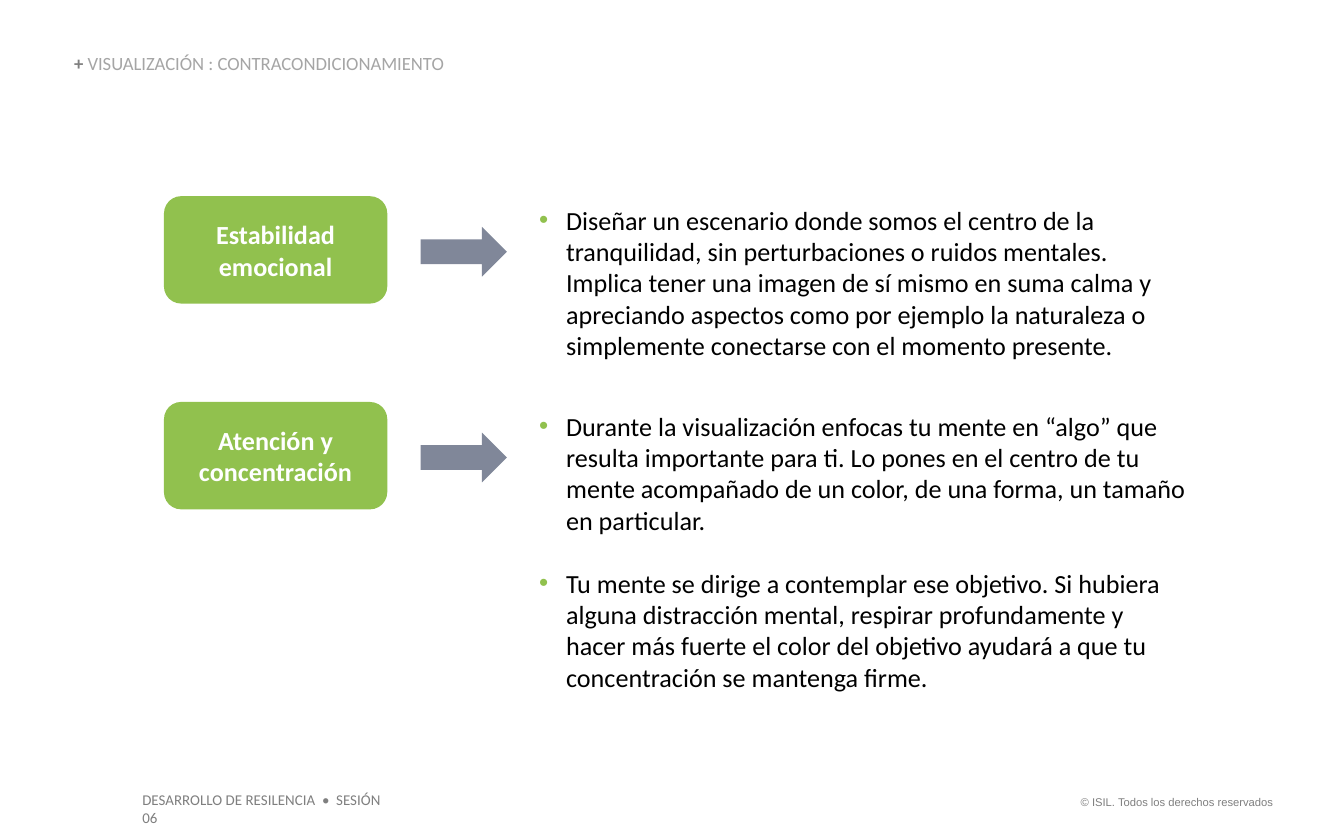
"""Build the slide on visualization and counterconditioning."""
from lxml import etree
from pptx import Presentation
from pptx import util as u
from pptx.dml.color import RGBColor
from pptx.enum import shapes, text
from pptx.oxml import ns

COLORS = {"green": "91C14E", "slate": "808799", "gray": "7F7F7F",
          "light": "A5A5A5", "black": "000000", "white": "FFFFFF"}


def write(p, txt, size=14, color="black", bold=False, font="Calibri",
          align=text.PP_ALIGN.LEFT):
    p.alignment = align
    r = p.add_run()
    r.text = txt
    r.font.size = u.Pt(size)
    r.font.name = font
    r.font.bold = bold
    r.font.color.rgb = RGBColor.from_string(COLORS[color])


def set_frame(tf, inset=0, anchor=text.MSO_ANCHOR.TOP):
    tf.word_wrap = True
    tf.auto_size = text.MSO_AUTO_SIZE.NONE
    tf.vertical_anchor = anchor
    tf.margin_left = tf.margin_right = u.Cm(inset)
    tf.margin_top = tf.margin_bottom = u.Cm(inset / 2)
    return tf.paragraphs[0]


prs = Presentation()
prs.slide_width, prs.slide_height = u.Cm(25.4), u.Cm(15.88)
s = prs.slides.add_slide(prs.slide_layouts[5])

title = s.shapes.title
title.left, title.top = u.Cm(1.4), u.Cm(1.04)
title.width, title.height = u.Cm(11.58), u.Cm(0.38)
p = set_frame(title.text_frame, anchor=text.MSO_ANCHOR.BOTTOM)
p.line_spacing = 0.9
write(p, "+ ", size=10, color="gray", bold=True)
write(p, "VISUALIZACIÓN : CONTRACONDICIONAMIENTO", size=10, color="light")

footers = [
    ((20.02, 14.91, 4.29, 0.51), "© ISIL. Todos los derechos reservados",
     {"size": 6, "font": "Arial", "align": text.PP_ALIGN.RIGHT}),
    ((2.44, 14.83, 5.36, 0.61), "DESARROLLO DE RESILENCIA  •  SESIÓN 06",
     {"size": 8}),
]
for place, txt, style in footers:
    sp = s.shapes.add_textbox(*map(u.Cm, place))
    write(set_frame(sp.text_frame, inset=0.25), txt, color="gray", **style)

rows = [
    ("Estabilidad emocional", 3.0, [
        "Diseñar un escenario donde somos el centro de la tranquilidad, sin "
        "perturbaciones o ruidos mentales. Implica tener una imagen de sí mismo "
        "en suma calma y apreciando aspectos como por ejemplo la naturaleza o "
        "simplemente conectarse con el momento presente."]),
    ("Atención y concentración", 5.38, [
        "Durante la visualización enfocas tu mente en “algo” que resulta "
        "importante para ti. Lo pones en el centro de tu mente acompañado de un "
        "color, de una forma, un tamaño en particular.",
        "Tu mente se dirige a contemplar ese objetivo. Si hubiera alguna "
        "distracción mental, respirar profundamente y hacer más fuerte el color "
        "del objetivo ayudará a que tu concentración se mantenga firme."]),
]
for i, (label, height, bullets) in enumerate(rows):
    top = 3.71 + 3.89 * i

    sp = s.shapes.add_textbox(u.Cm(10.19), u.Cm(top + 0.15), u.Cm(12.25), u.Cm(height))
    set_frame(sp.text_frame)
    for j, bullet in enumerate(bullets):
        p = sp.text_frame.add_paragraph() if j else sp.text_frame.paragraphs[0]
        pPr = p._p.get_or_add_pPr()
        pPr.set("marL", str(u.Cm(0.51)))
        pPr.set("indent", str(-u.Cm(0.51)))
        clr = etree.SubElement(pPr, ns.qn("a:buClr"))
        etree.SubElement(clr, ns.qn("a:srgbClr"), val=COLORS["green"])
        etree.SubElement(pPr, ns.qn("a:buFont"), typeface="Arial")
        etree.SubElement(pPr, ns.qn("a:buChar"), char="•")
        if j:
            p.space_before = u.Pt(17)
        write(p, bullet)

    arrow = s.shapes.add_shape(shapes.MSO_SHAPE.RIGHT_ARROW, u.Cm(7.95),
                               u.Cm(top + 0.58), u.Cm(1.63), u.Cm(0.94))
    box = s.shapes.add_shape(shapes.MSO_SHAPE.ROUNDED_RECTANGLE, u.Cm(3.1),
                             u.Cm(top), u.Cm(4.22), u.Cm(2.03))
    box.adjustments[0] = 0.16
    for sp, color in ((arrow, "slate"), (box, "green")):
        sp.shadow.inherit = False
        sp.fill.solid()
        sp.fill.fore_color.rgb = RGBColor.from_string(COLORS[color])
        sp.line.fill.background()
    p = set_frame(box.text_frame, inset=0.25, anchor=text.MSO_ANCHOR.MIDDLE)
    write(p, label, color="white", bold=True, align=text.PP_ALIGN.CENTER)

prs.save("out.pptx")
